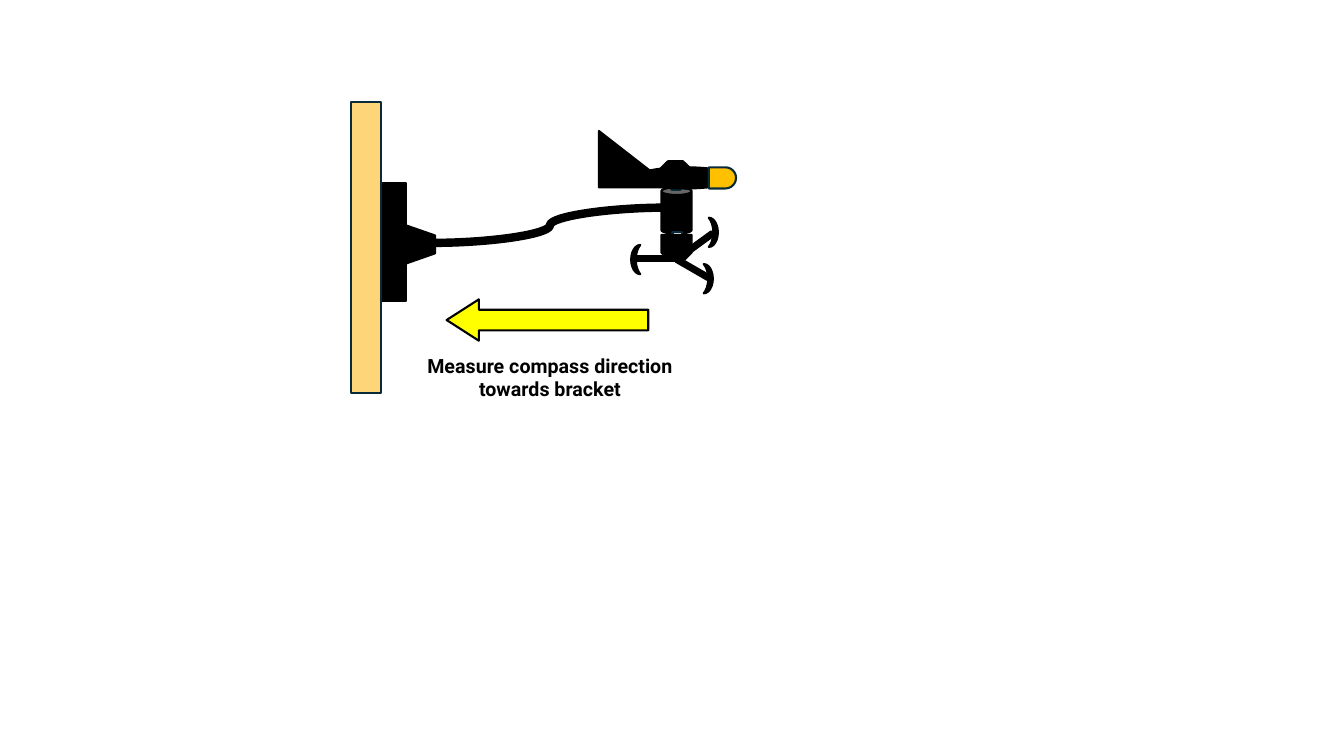
from dataclasses import dataclass

from lxml.etree import SubElement
from pptx import Presentation
from pptx.dml.color import RGBColor
from pptx.enum.shapes import MSO_CONNECTOR, MSO_SHAPE
from pptx.enum.text import MSO_AUTO_SIZE, PP_ALIGN
from pptx.oxml.ns import qn
from pptx.util import Inches, Pt


@dataclass(frozen=True)
class Theme:
    black: str = "000000"
    navy: str = "092A39"
    wood: str = "FFD579"
    orange: str = "FFC000"
    yellow: str = "FFFF00"
    grey: str = "E8E8E8"
    font: str = "Roboto"
    caption: float = 14
    outline: float = 1.5
    cable: float = 6


THEME = Theme()
COLUMNS, ROWS = 1333, 750
CELL = Inches(13.33) // COLUMNS


def add_part(s, box, kind, area, fill=THEME.black, line=THEME.black, rotation=0, adj=()):
    """Draw a shape whose area (left, top, width, height) is in cells from the box corner."""
    x, y, w, h = area
    sp = s.shapes.add_shape(kind, (box[0] + x) * CELL, (box[1] + y) * CELL, w * CELL, h * CELL)
    for i, value in enumerate(adj):
        sp.adjustments[i] = value
    sp.rotation = rotation
    sp.shadow.inherit = False
    sp.fill.solid()
    sp.fill.fore_color.rgb = RGBColor.from_string(fill)
    sp.line.color.rgb = RGBColor.from_string(line)
    sp.line.width = Pt(THEME.outline)


def add_cable(s, box):
    x, y, w, h = (n * CELL for n in box)
    cable = s.shapes.add_connector(MSO_CONNECTOR.CURVE, x, y + h, x + w, y)
    cable.line.color.rgb = RGBColor.from_string(THEME.black)
    cable.line.width = Pt(THEME.cable)
    SubElement(cable._element.spPr, qn("a:effectLst"))


def add_vane(s, box):
    add_part(s, box, MSO_SHAPE.CAN, (62, 56, 30, 46))
    for pin in ((72, 46, 9, 12), (73, 100, 9, 12)):
        add_part(s, box, MSO_SHAPE.RECTANGLE, pin, THEME.grey, THEME.navy)
    add_part(s, box, MSO_SHAPE.RIGHT_TRIANGLE, (0, 0, 72, 56))
    add_part(s, box, MSO_SHAPE.OVAL, (36, 36, 100, 21))
    add_part(s, box, MSO_SHAPE.ROUND_2_SAME_RECTANGLE, (112, 33, 21, 27),
             THEME.orange, THEME.navy, 90, (0.5, 0))
    add_part(s, box, MSO_SHAPE.SNIP_2_SAME_RECTANGLE, (61, 30, 30, 25), adj=(0.3, 0))


def add_cup_rotor(s, box):
    for x, y, rotation in ((77, 0, 180), (0, 27, 0), (72, 46, 180)):
        add_part(s, box, MSO_SHAPE.MOON, (x, y, 9, 29), rotation=rotation)
    add_part(s, box, MSO_SHAPE.SNIP_2_SAME_RECTANGLE, (30, 17, 30, 25), rotation=180, adj=(0.3, 0))
    for x, y, length, rotation in ((6, 38, 41, 0), (41, 26, 44, 323.9), (43, 48, 36, 30)):
        add_part(s, box, MSO_SHAPE.RECTANGLE, (x, y, length, 5), rotation=rotation)


def add_wall_bracket(s, box):
    add_part(s, box, MSO_SHAPE.TRAPEZOID, (50, 127, 38, 29), rotation=90, adj=(0.35,))
    add_part(s, box, MSO_SHAPE.RECTANGLE, (31, 81, 24, 117))
    add_part(s, box, MSO_SHAPE.RECTANGLE, (0, 0, 30, 289), THEME.wood, THEME.navy)


def add_direction(s, box):
    """Draw the arrow towards the bracket with its caption underneath."""
    add_part(s, box, MSO_SHAPE.LEFT_ARROW, (32, 0, 200, 41), THEME.yellow, adj=(0.5, 0.78))
    x, y, w, h = box
    tb = s.shapes.add_textbox(x * CELL, (y + 49) * CELL, w * CELL, (h - 49) * CELL)
    tf = tb.text_frame
    tf.word_wrap = True
    tf.auto_size = MSO_AUTO_SIZE.SHAPE_TO_FIT_TEXT
    p = tf.paragraphs[0]
    p.text = "Measure compass direction towards bracket"
    p.alignment = PP_ALIGN.CENTER
    p.font.name = THEME.font
    p.font.size = Pt(THEME.caption)
    p.font.bold = True
    p.font.color.rgb = RGBColor.from_string(THEME.black)


def main():
    prs = Presentation()
    prs.slide_width, prs.slide_height = COLUMNS * CELL, ROWS * CELL
    s = prs.slides.add_slide(prs.slide_layouts[6])
    add_cable(s, (429, 206, 233, 35))
    add_vane(s, (594, 130))
    add_cup_rotor(s, (626, 216))
    add_wall_bracket(s, (348, 101))
    add_direction(s, (411, 297, 269, 106))
    prs.save("out.pptx")


if __name__ == "__main__":
    main()
